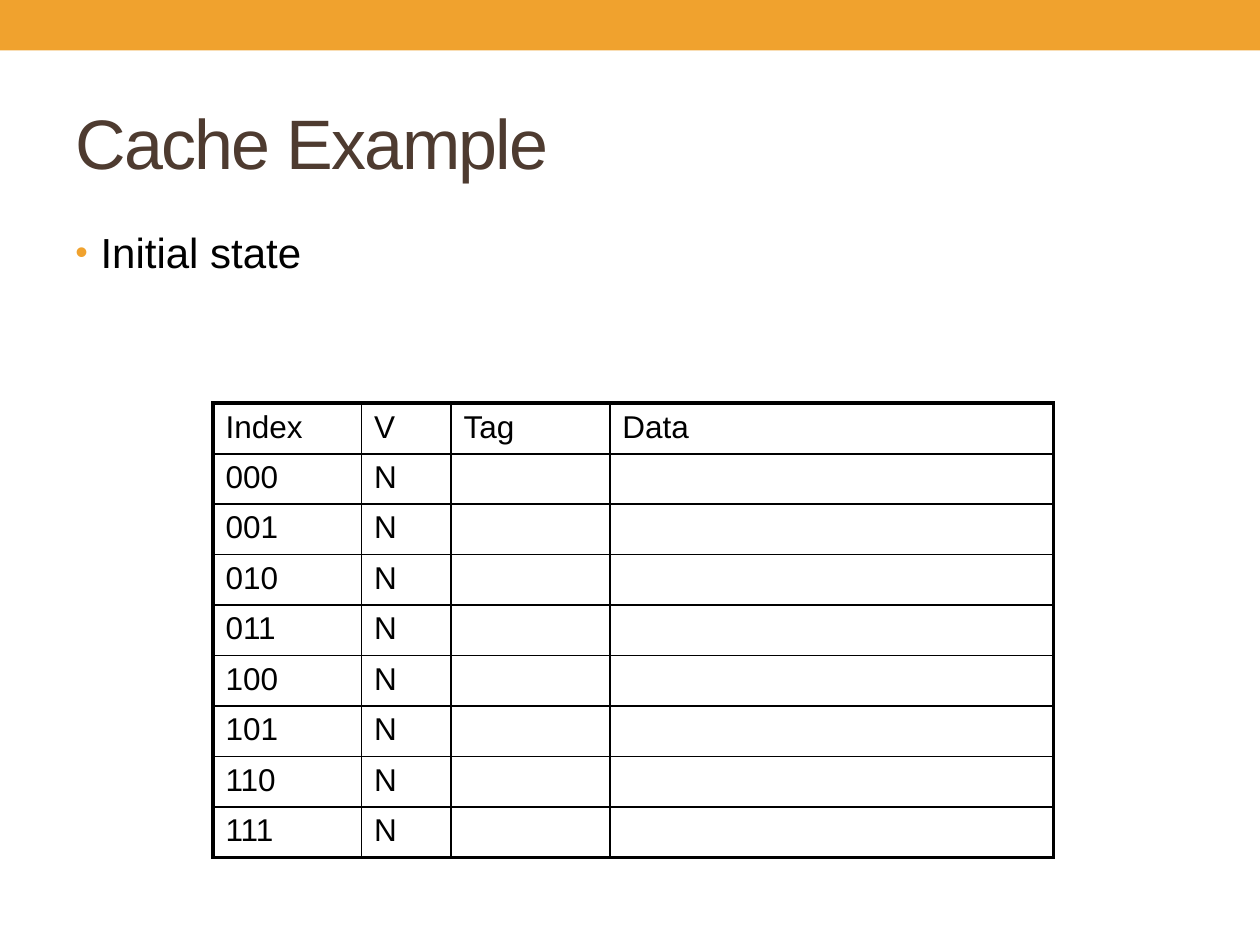
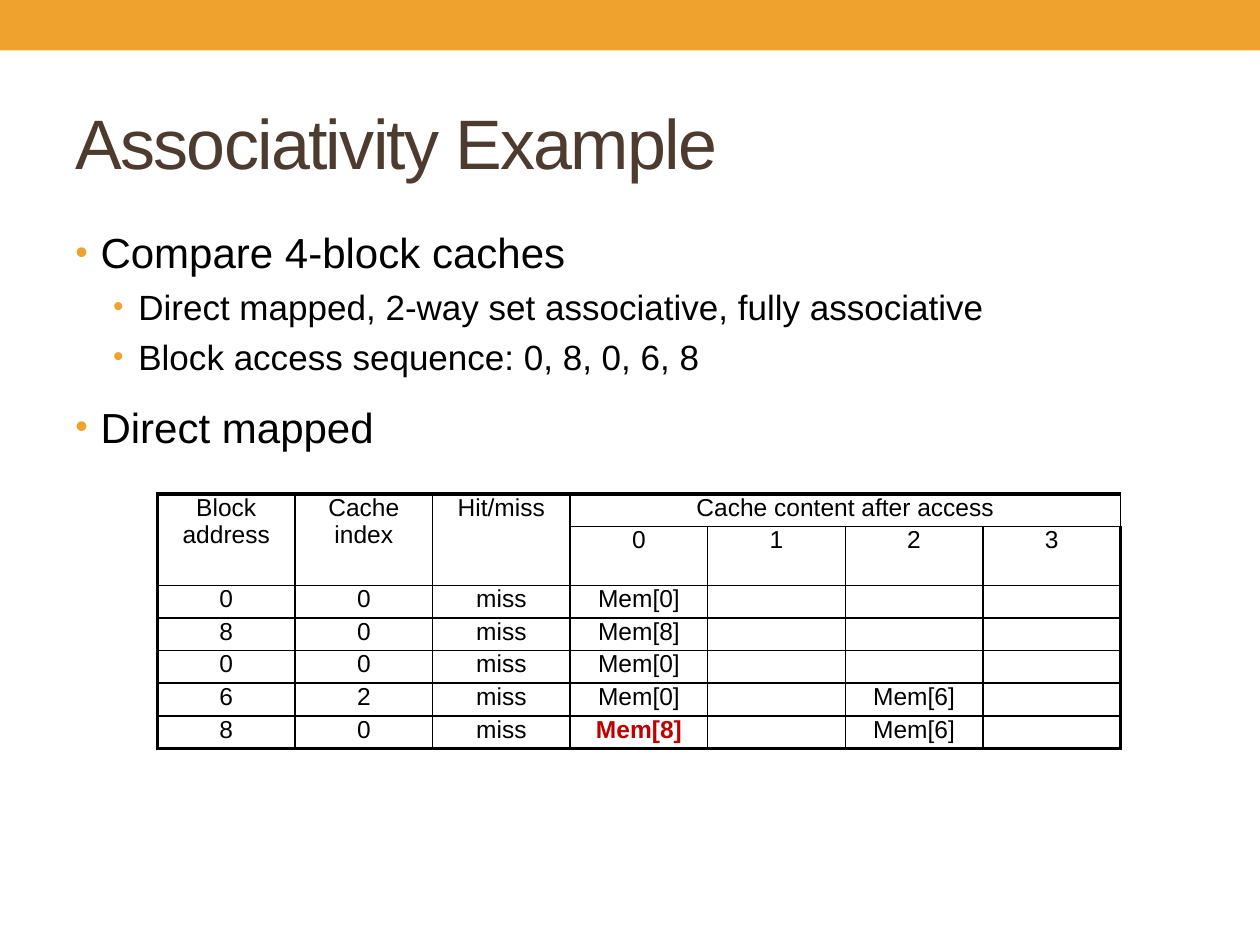
"""Build two slides on caches, each with a title, bullets and a ruled table."""
from lxml.etree import SubElement
from pptx import Presentation
from pptx.dml.color import RGBColor
from pptx.enum.shapes import MSO_SHAPE
from pptx.enum.text import MSO_ANCHOR, PP_ALIGN
from pptx.oxml.ns import qn
from pptx.util import Inches, Pt

INK = {"band": "F0A22E", "title": "4E3B30", "text": "000000", "mark": "C00000"}
FONT = "Arial"
COLS, ROWS = 100, 75
WIDE, HIGH = Inches(10), Inches(7.5)
LEFT, SPAN = 5, 90
THIN, HEAD, EDGE = 1, 1.5, 2.25


def grid(*units):
    """Turn grid columns or rows into lengths."""
    return [round(unit * WIDE / COLS) for unit in units]


def write(par, words, size, ink="text", bold=False):
    """Add one run to a paragraph."""
    run = par.add_run()
    run.text = words
    font = run.font
    font.name, font.size, font.bold = FONT, Pt(size), bold
    font.color.rgb = RGBColor.from_string(INK[ink])
    return run


states = [["Index", "V", "Tag", "Data"]]
states += [[f"{num:03b}", "N", "", ""] for num in range(8)]

hits = [
    ["Block address", "Cache index", "Hit/miss", "Cache content after access", "", "", ""],
    ["", "", "", "0", "1", "2", "3"],
    ["0", "0", "miss", "Mem[0]", "", "", ""],
    ["8", "0", "miss", "Mem[8]", "", "", ""],
    ["0", "0", "miss", "Mem[0]", "", "", ""],
    ["6", "2", "miss", "Mem[0]", "", "Mem[6]", ""],
    ["8", "0", "miss", "Mem[8]", "", "Mem[6]", ""],
]

pages = [
    {
        "title": "Cache Example",
        "points": [(0, 0.2, "Initial state")],
        "cells": states, "spot": (16.9, 32), "cols": [11.8, 7.1, 12.6, 35.2], "row": 3.6,
        "size": 18, "pad": 0.5, "align": PP_ALIGN.LEFT, "head": HEAD,
        "joins": [], "marks": [],
    },
    {
        "title": "Associativity Example",
        "points": [
            (0, 0.2, "Compare 4-block caches"),
            (1, 0.2, "Direct mapped, 2-way set associative, fully associative"),
            (1, 0.2, "Block access sequence: 0, 8, 0, 6, 8"),
            (0, 0.5, "Direct mapped"),
        ],
        "cells": hits, "spot": (12.5, 39.2), "cols": [10.92] * 7, "row": 2.59,
        "size": 14, "pad": 0, "align": PP_ALIGN.CENTER, "head": THIN,
        "joins": [(0, 0, 1, 0), (0, 1, 1, 1), (0, 2, 1, 2), (0, 3, 0, 6)],
        "marks": [(6, 3)],
    },
]

deck = Presentation()
deck.slide_width, deck.slide_height = WIDE, HIGH

for page in pages:
    slide = deck.slides.add_slide(deck.slide_layouts[5])

    band = slide.shapes.add_shape(MSO_SHAPE.RECTANGLE, *grid(0, 0, COLS, 4))
    band.shadow.inherit = False
    band.fill.solid()
    band.fill.fore_color.rgb = RGBColor.from_string(INK["band"])
    band.line.fill.background()

    title = slide.shapes.title
    title.left, title.top, title.width, title.height = grid(LEFT, 5.8, SPAN, 10.8)
    frame = title.text_frame
    frame.word_wrap, frame.vertical_anchor = True, MSO_ANCHOR.MIDDLE
    par = frame.paragraphs[0]
    par.alignment = PP_ALIGN.LEFT
    run = write(par, page["title"], 40, "title")
    run.font._element.set("spc", "-100")

    body = slide.shapes.add_textbox(*grid(LEFT, 17.5, SPAN, ROWS - 21.7)).text_frame
    body.word_wrap = True
    for num, (level, gap, words) in enumerate(page["points"]):
        par = body.add_paragraph() if num else body.paragraphs[0]
        size = 24 - 4 * level
        par.level = level
        par.space_before = Pt(round(gap * size * 1.15, 1))
        props = par._p.get_or_add_pPr()
        margin, hang = grid(2 + 3 * level, -2)
        props.set("marL", str(margin))
        props.set("indent", str(hang))
        tint = SubElement(props, qn("a:buClr"))
        SubElement(tint, qn("a:srgbClr"), val=INK["band"])
        SubElement(props, qn("a:buSzPct"), val="85000")
        SubElement(props, qn("a:buFont"), typeface=FONT)
        SubElement(props, qn("a:buChar"), char="•")
        write(par, words, size)

    cells, cols, size = page["cells"], page["cols"], page["size"]
    last, end = len(cells) - 1, len(cols) - 1
    box = grid(*page["spot"], sum(cols), page["row"] * len(cells))
    table = slide.shapes.add_table(len(cells), len(cols), *box).table
    table.first_row = table.horz_banding = False
    for col, width in zip(table.columns, grid(*cols)):
        col.width = width
    for row in table.rows:
        row.height = grid(page["row"])[0]

    for y, line in enumerate(cells):
        for x, words in enumerate(line):
            cell = table.cell(y, x)
            cell.margin_left, cell.margin_right = grid(1, 1)
            cell.margin_top, cell.margin_bottom = grid(page["pad"], page["pad"])
            rules = {
                "a:lnL": THIN if x else EDGE,
                "a:lnR": EDGE if x == end else THIN,
                "a:lnT": EDGE if y == 0 else page["head"] if y == 1 else THIN,
                "a:lnB": EDGE if y == last else THIN if y else page["head"],
            }
            props = cell._tc.get_or_add_tcPr()
            for tag, width in rules.items():
                rule = SubElement(props, qn(tag), w=str(Pt(width)))
                fill = SubElement(rule, qn("a:solidFill"))
                SubElement(fill, qn("a:srgbClr"), val=INK["text"])
            cell.fill.background()
            par = cell.text_frame.paragraphs[0]
            par.alignment = page["align"]
            if words:
                mark = (y, x) in page["marks"]
                write(par, words, size, "mark" if mark else "text", mark)
            else:
                par._p.get_or_add_endParaRPr().set("sz", str(size * 100))

    for top, left, low, right in page["joins"]:
        table.cell(top, left).merge(table.cell(low, right))

deck.save("out.pptx")
